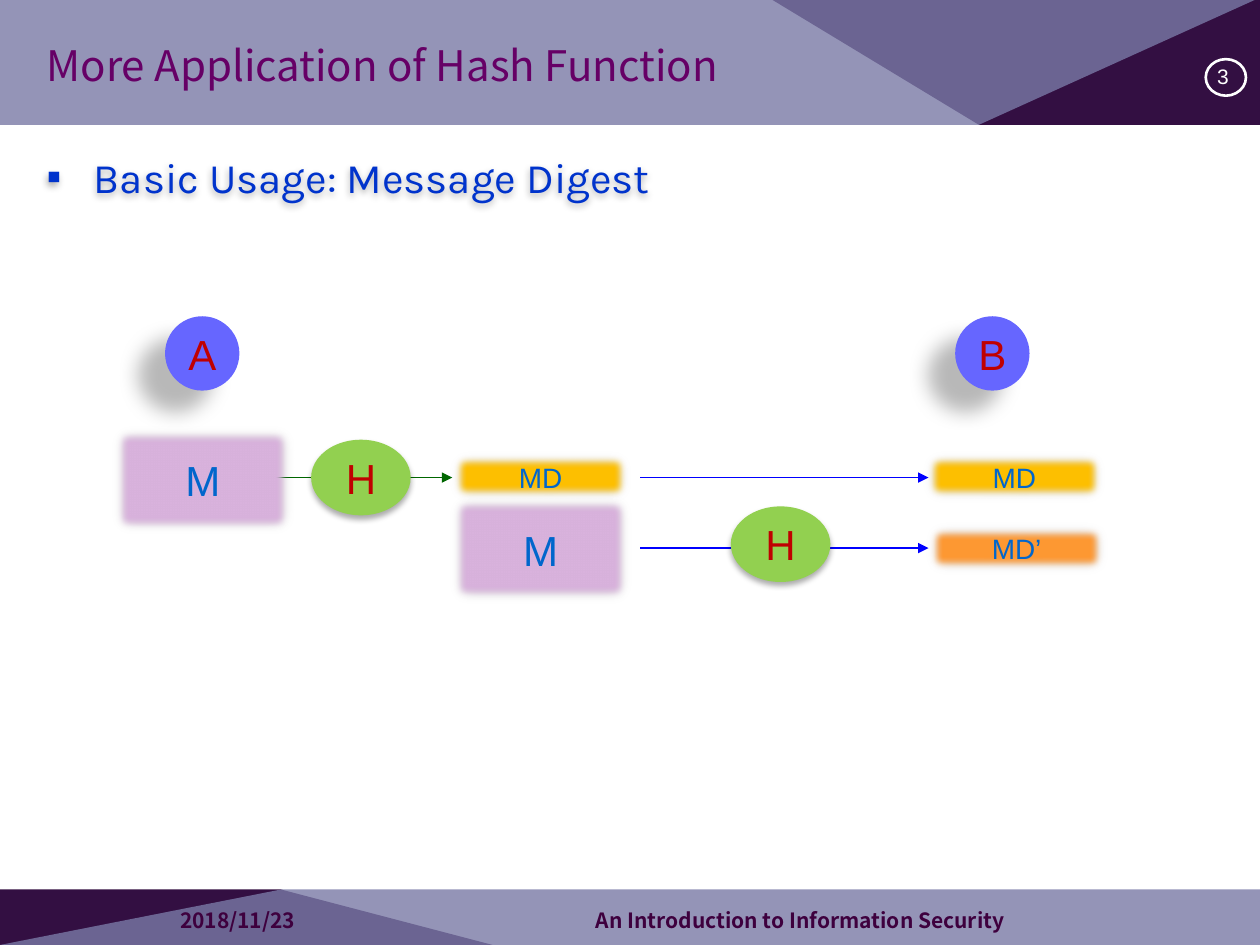
"""Build the slide on message digests and hash functions."""
from dataclasses import dataclass
from typing import NamedTuple, Optional

import lxml.etree
import pptx
import pptx.dml.color
import pptx.enum.shapes
import pptx.enum.text
import pptx.oxml.ns
import pptx.util

Pt = pptx.util.Pt
qn = pptx.oxml.ns.qn
MSO_SHAPE = pptx.enum.shapes.MSO_SHAPE
PP_ALIGN = pptx.enum.text.PP_ALIGN
MIDDLE = pptx.enum.text.MSO_ANCHOR.MIDDLE


@dataclass(frozen=True)
class Theme:
    dark: str = "330F42"
    band: str = "7A7AA6"
    white: str = "FFFFFF"
    footer: str = "3E003E"
    title: str = "660066"
    body: str = "0033CC"
    party: str = "6666FF"
    hash: str = "92D050"
    digest: str = "FFC000"
    new_digest: str = "FF9933"
    message: str = "D9B2DD"
    border: str = "4B264B"
    red: str = "C00000"
    blue: str = "0066CC"
    local_arrow: str = "006600"
    sent_arrow: str = "0000FF"
    large: int = 24
    medium: int = 16
    small: int = 12
    heading_font: str = "Noto Sans CJK SC"
    body_font: str = "Karla"
    label_font: str = "Arial"


class Shadow(NamedTuple):
    alpha: int
    blur: float
    distance: float
    angle: int


THEME = Theme()
PARTY_SHADOW = Shadow(28, 11.8, 19.7, 141)
SOFT_SHADOW = Shadow(32, 3.5, 2.2, 90)
BOX_SHADOW = Shadow(20, 6, 0, 225)


@dataclass(frozen=True)
class Kind:
    shape: int
    width: float
    height: float
    fill: str
    color: str
    size: int
    shadow: Shadow
    soft_edge: float = 0


PARTY = Kind(MSO_SHAPE.OVAL, 42.5, 42.5, THEME.party, THEME.red, THEME.large, PARTY_SHADOW)
HASH = Kind(MSO_SHAPE.OVAL, 56.9, 43.2, THEME.hash, THEME.red, THEME.large, SOFT_SHADOW)
DIGEST = Kind(MSO_SHAPE.RECTANGLE, 100.8, 26.6, THEME.digest, THEME.blue, THEME.medium, BOX_SHADOW, 5)
NEW_DIGEST = Kind(MSO_SHAPE.RECTANGLE, 100.8, 26.6, THEME.new_digest, THEME.blue, THEME.medium, BOX_SHADOW, 5)
MESSAGE = Kind(MSO_SHAPE.RECTANGLE, 100.8, 59, THEME.message, THEME.blue, THEME.large, BOX_SHADOW, 5)


class Node(NamedTuple):
    kind: Kind
    text: str
    left: float
    top: float


class Arrow(NamedTuple):
    start: float
    end: float
    y: float
    color: str


class Band(NamedTuple):
    points: tuple
    fill: str
    alpha: Optional[int] = None


TOP, HEAD, FOOT, BOTTOM, RIGHT = -1.4, 71.3, 508.3, 540, 720
BANDS = (
    Band(((0, BOTTOM), (0, FOOT), (160.6, FOOT), (281.5, BOTTOM)), THEME.dark),
    Band(((0, BOTTOM), (160.6, FOOT), (RIGHT, FOOT), (RIGHT, BOTTOM)), THEME.band, 80),
    Band(((RIGHT, TOP), (RIGHT, HEAD), (559.4, HEAD), (439.2, TOP)), THEME.dark),
    Band(((RIGHT, TOP), (559.4, HEAD), (0, HEAD), (0, TOP)), THEME.band, 80),
)
DIAGRAM = (
    Node(PARTY, "A", 94.3, 180.7),
    Arrow(136.8, 258.5, 272.9, THEME.local_arrow),
    Node(PARTY, "B", 545.8, 180.7),
    Node(HASH, "H", 177.8, 251.3),
    Node(DIGEST, "MD", 258.5, 259.2),
    Node(MESSAGE, "M", 65.5, 244.8),
    Node(MESSAGE, "M", 258.5, 284.4),
    Node(NEW_DIGEST, "MD’", 530.6, 300.2),
    Arrow(365.8, 530.6, 313.2, THEME.sent_arrow),
    Node(HASH, "H", 417.6, 289.4),
    Node(DIGEST, "MD", 529.2, 259.2),
    Arrow(365.8, 530.6, 272.9, THEME.sent_arrow),
)


def rgb(value: str):
    """Return a colour object for a hex string."""
    return pptx.dml.color.RGBColor.from_string(value)


def add_child(parent, tag: str, **attributes):
    """Append a DrawingML element and return it."""
    return lxml.etree.SubElement(parent, qn(tag), {k: str(v) for k, v in attributes.items()})


def set_effects(sp, shadow: Shadow, soft_edge: float = 0) -> None:
    """Give a shape a black blurred shadow and optional soft edges."""
    sp.shadow.inherit = False
    effects = sp.element.spPr.find(qn("a:effectLst"))
    outer = add_child(effects, "a:outerShdw", blurRad=Pt(shadow.blur), dist=Pt(shadow.distance),
                      dir=shadow.angle * 60000, algn="ctr", rotWithShape=0)
    add_child(add_child(outer, "a:srgbClr", val="000000"), "a:alpha", val=shadow.alpha * 1000)
    if soft_edge:
        add_child(effects, "a:softEdge", rad=Pt(soft_edge))


def write(sp, text: str, font: str, size: int, color: str, align=PP_ALIGN.LEFT, bold: bool = False):
    """Put one formatted paragraph in a shape and return it."""
    tf = sp.text_frame
    tf.word_wrap = True
    tf.auto_size = pptx.enum.text.MSO_AUTO_SIZE.NONE
    tf.vertical_anchor = MIDDLE
    p = tf.paragraphs[0]
    p.text = text
    p.alignment = align
    p.font.name, p.font.size, p.font.bold = font, Pt(size), bold
    p.font.color.rgb = rgb(color)
    for r in p.runs:
        r.font.name = font
    return p


def place(sp, left: float, top: float, width: float, height: float) -> None:
    """Move and size a placeholder."""
    sp.left, sp.top, sp.width, sp.height = map(Pt, (left, top, width, height))


def add_band(s, band: Band) -> None:
    """Draw one decorative polygon."""
    points = [(Pt(x), Pt(y)) for x, y in band.points]
    builder = s.shapes.build_freeform(*points[0])
    builder.add_line_segments(points[1:], close=True)
    sp = builder.convert_to_shape()
    sp.shadow.inherit = False
    sp.fill.solid()
    sp.fill.fore_color.rgb = rgb(band.fill)
    sp.line.fill.background()
    if band.alpha:
        color = sp.element.spPr.find(qn("a:solidFill"))[0]
        add_child(color, "a:alpha", val=band.alpha * 1000)


def add_node(s, node: Node) -> None:
    """Draw one labelled diagram node."""
    kind = node.kind
    sp = s.shapes.add_shape(kind.shape, *map(Pt, (node.left, node.top, kind.width, kind.height)))
    set_effects(sp, kind.shadow, kind.soft_edge)
    sp.fill.solid()
    sp.fill.fore_color.rgb = rgb(kind.fill)
    if kind.soft_edge:
        sp.line.color.rgb = rgb(THEME.border)
        sp.line.width = Pt(2)
    else:
        sp.line.fill.background()
    write(sp, node.text, THEME.label_font, kind.size, kind.color, PP_ALIGN.CENTER)


def add_arrow(s, arrow: Arrow) -> None:
    """Draw one horizontal arrow."""
    ends = map(Pt, (arrow.start, arrow.y, arrow.end, arrow.y))
    sp = s.shapes.add_connector(pptx.enum.shapes.MSO_CONNECTOR.STRAIGHT, *ends)
    sp.line.color.rgb = rgb(arrow.color)
    sp.line.width = Pt(1)
    add_child(sp.line._get_or_add_ln(), "a:tailEnd", type="triangle")
    add_child(sp.element.spPr, "a:effectLst")


def add_page_number(s, text: str) -> None:
    """Draw the ringed page number."""
    sp = s.shapes.add_shape(MSO_SHAPE.OVAL, *map(Pt, (689, 33.8, 23, 20.9)))
    sp.shadow.inherit = False
    sp.fill.background()
    sp.line.color.rgb = rgb(THEME.white)
    sp.line.width = Pt(1.5)
    tf = sp.text_frame
    tf.margin_left = tf.margin_right = tf.margin_top = tf.margin_bottom = Pt(0.7)
    p = write(sp, text, THEME.label_font, THEME.small, THEME.white, PP_ALIGN.CENTER)
    p.line_spacing = 0.9


def add_footer(s, text: str, left: float, width: float) -> None:
    """Write one footer entry."""
    sp = s.shapes.add_textbox(*map(Pt, (left, 515.5, width, 20.9)))
    write(sp, text, THEME.heading_font, THEME.small, THEME.footer, bold=True)


def fill_placeholders(s) -> None:
    """Write the title and the bulleted body above the bands."""
    title, body = s.shapes.title, s.placeholders[1]
    place(title, 19.4, 15.1, 459.4, 43.2)
    write(title, "More Application of Hash Function", THEME.heading_font, THEME.large, THEME.title)
    place(body, 19.4, 77, 686.2, 425.5)
    p = write(body, "Basic Usage: Message Digest", THEME.body_font, THEME.large, THEME.body)
    body.text_frame.vertical_anchor = pptx.enum.text.MSO_ANCHOR.TOP
    p.line_spacing, p.space_before = 1.2, Pt(8)
    props = p._p.get_or_add_pPr()
    props.set("marL", str(Pt(27)))
    props.set("indent", str(Pt(-27)))
    bullet = lxml.etree.Element(qn("a:buChar"), {"char": "▪"})
    props.find(qn("a:defRPr")).addprevious(bullet)
    set_effects(body, SOFT_SHADOW)
    for sp in (title, body):
        s.shapes._spTree.append(sp.element)


def main() -> None:
    """Build and save the slide."""
    prs = pptx.Presentation()
    prs.slide_width, prs.slide_height = Pt(720), Pt(540)
    s = prs.slides.add_slide(prs.slide_layouts[1])
    for band in BANDS:
        add_band(s, band)
    add_page_number(s, "3 ")
    add_footer(s, "2018/11/23", 95.8, 167.8)
    add_footer(s, "An Introduction to Information Security", 333.4, 344.2)
    fill_placeholders(s)
    for item in DIAGRAM:
        if isinstance(item, Node):
            add_node(s, item)
        else:
            add_arrow(s, item)
    prs.save("out.pptx")


if __name__ == "__main__":
    main()
